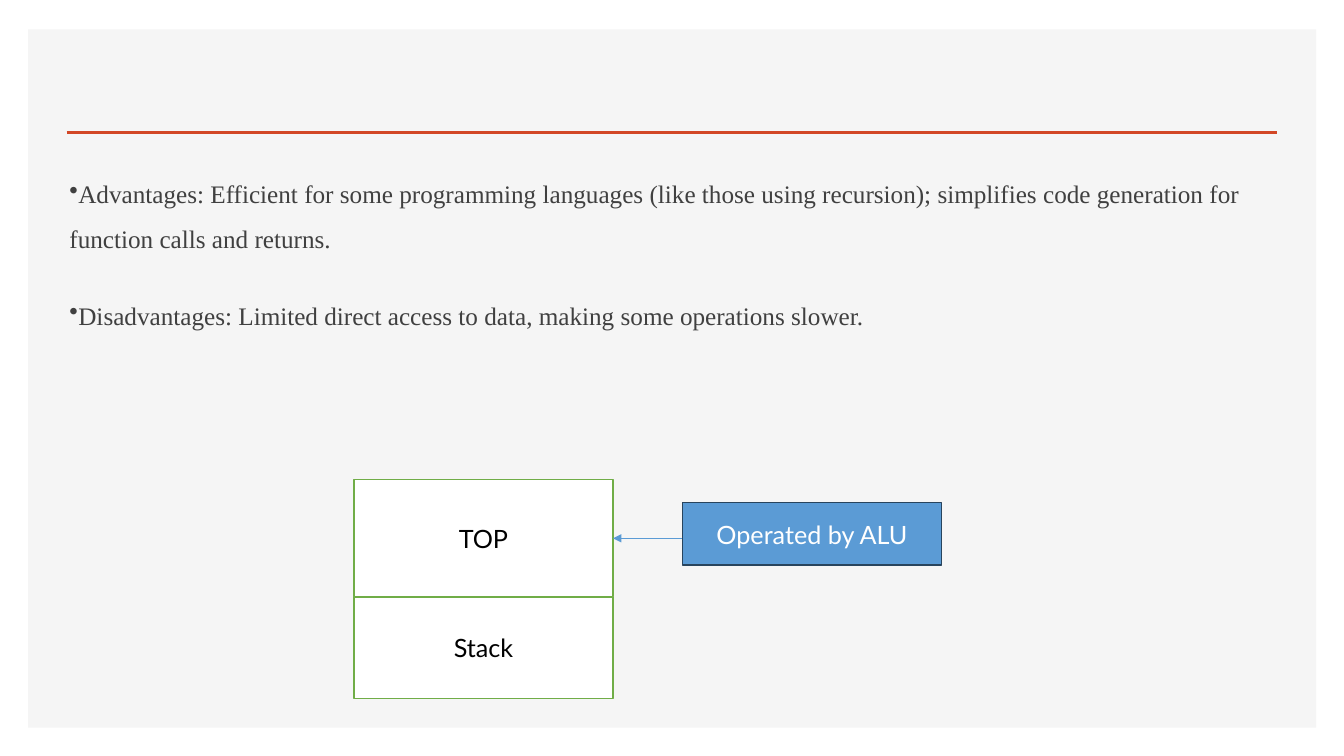
from lxml.etree import SubElement
from pptx import Presentation
from pptx.dml.color import RGBColor
from pptx.enum.shapes import MSO_CONNECTOR, MSO_SHAPE
from pptx.enum.text import MSO_ANCHOR, PP_ALIGN
from pptx.oxml.ns import qn
from pptx.util import Cm, Pt

WHITE = RGBColor(0xFF, 0xFF, 0xFF)
BLACK = RGBColor(0x00, 0x00, 0x00)
PANEL = RGBColor(0xF5, 0xF5, 0xF5)
ORANGE = RGBColor(0xD2, 0x47, 0x26)
GRAY = RGBColor(0x40, 0x40, 0x40)
GREEN = RGBColor(0x70, 0xAD, 0x47)
BLUE = RGBColor(0x5B, 0x9B, 0xD5)
NAVY = RGBColor(0x28, 0x44, 0x5D)

POINTS = [
    "Advantages:\u00a0Efficient for some programming languages (like those using "
    "recursion); simplifies code generation for function calls and returns.",
    "Disadvantages:\u00a0Limited direct access to data, making some operations slower.",
]
STACK_CELLS = [("TOP", 2.95), ("Stack", 2.57)]  # label, height in cm
OPERATOR = "Operated by ALU"

BOX_W = 6.53
STACK_X, STACK_Y = 8.92, 12.09
ALU_X, ALU_Y, ALU_H = 17.2, 12.67, 1.57


def write(tf, lines, font="Lato", size=18, color=BLACK, align=PP_ALIGN.LEFT,
          bullet=None, spacing=None, before=0, after=0):
    tf.word_wrap = True
    for i, line in enumerate(lines):
        p = tf.add_paragraph() if i else tf.paragraphs[0]
        if bullet:
            SubElement(p._p.get_or_add_pPr(), qn("a:buChar")).set("char", bullet)
        p.alignment = align
        p.line_spacing = spacing
        p.space_before = Pt(before if i else 0)
        p.space_after = Pt(after)
        r = p.add_run()
        r.text = line
        r.font.name = font
        r.font.size = Pt(size)
        r.font.color.rgb = color


def add_box(s, x, y, w, h, fill, line=None, label=None, color=BLACK):
    sp = s.shapes.add_shape(MSO_SHAPE.RECTANGLE, Cm(x), Cm(y), Cm(w), Cm(h))
    sp.shadow.inherit = False
    sp.fill.solid()
    sp.fill.fore_color.rgb = fill
    if line is None:
        sp.line.fill.background()
    else:
        sp.line.color.rgb = line
        sp.line.width = Pt(1)
    if label:
        sp.text_frame.vertical_anchor = MSO_ANCHOR.MIDDLE
        write(sp.text_frame, [label], color=color, align=PP_ALIGN.CENTER)
    return sp


def add_line(s, x1, x2, y, color, width, arrow=False):
    cn = s.shapes.add_connector(MSO_CONNECTOR.STRAIGHT, Cm(x1), Cm(y), Cm(x2), Cm(y))
    cn.line.color.rgb = color
    cn.line.width = Pt(width)
    if arrow:
        SubElement(cn.line._get_or_add_ln(), qn("a:tailEnd")).set("type", "triangle")
    SubElement(cn._element.spPr, qn("a:effectLst"))
    return cn


def main():
    prs = Presentation()
    prs.slide_width, prs.slide_height = Cm(33.87), Cm(19.05)
    s = prs.slides.add_slide(prs.slide_layouts[6])

    add_box(s, 0.71, 0.74, 32.46, 17.6, PANEL)
    add_line(s, 1.68, 32.18, 3.33, ORANGE, 2)

    body = s.shapes.add_textbox(Cm(1.5), Cm(3.99), Cm(30.48), Cm(14.48))
    write(body.text_frame, POINTS, font="Times New Roman", color=GRAY,
          bullet="•", spacing=1.5, before=10, after=12)

    cells = []
    y = STACK_Y
    for label, height in STACK_CELLS:
        cells.append(add_box(s, STACK_X, y, BOX_W, height, WHITE, GREEN, label))
        y += height

    arrow_y = STACK_Y + STACK_CELLS[0][1] / 2
    arrow = add_line(s, ALU_X, STACK_X + BOX_W, arrow_y, BLUE, 0.5, arrow=True)
    arrow.end_connect(cells[0], 3)
    add_box(s, ALU_X, ALU_Y, BOX_W, ALU_H, BLUE, NAVY, OPERATOR, WHITE)

    prs.save("out.pptx")


if __name__ == "__main__":
    main()
